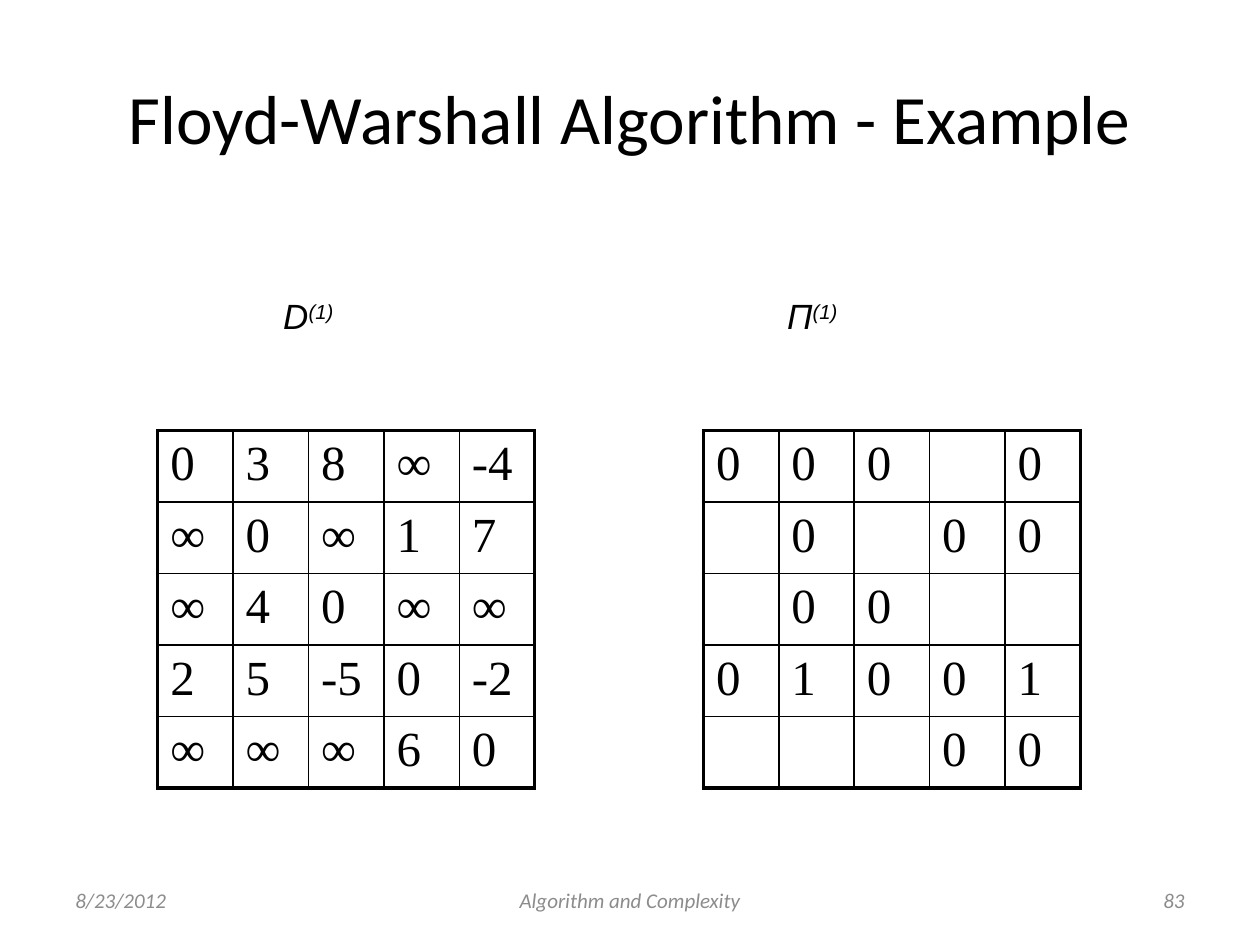
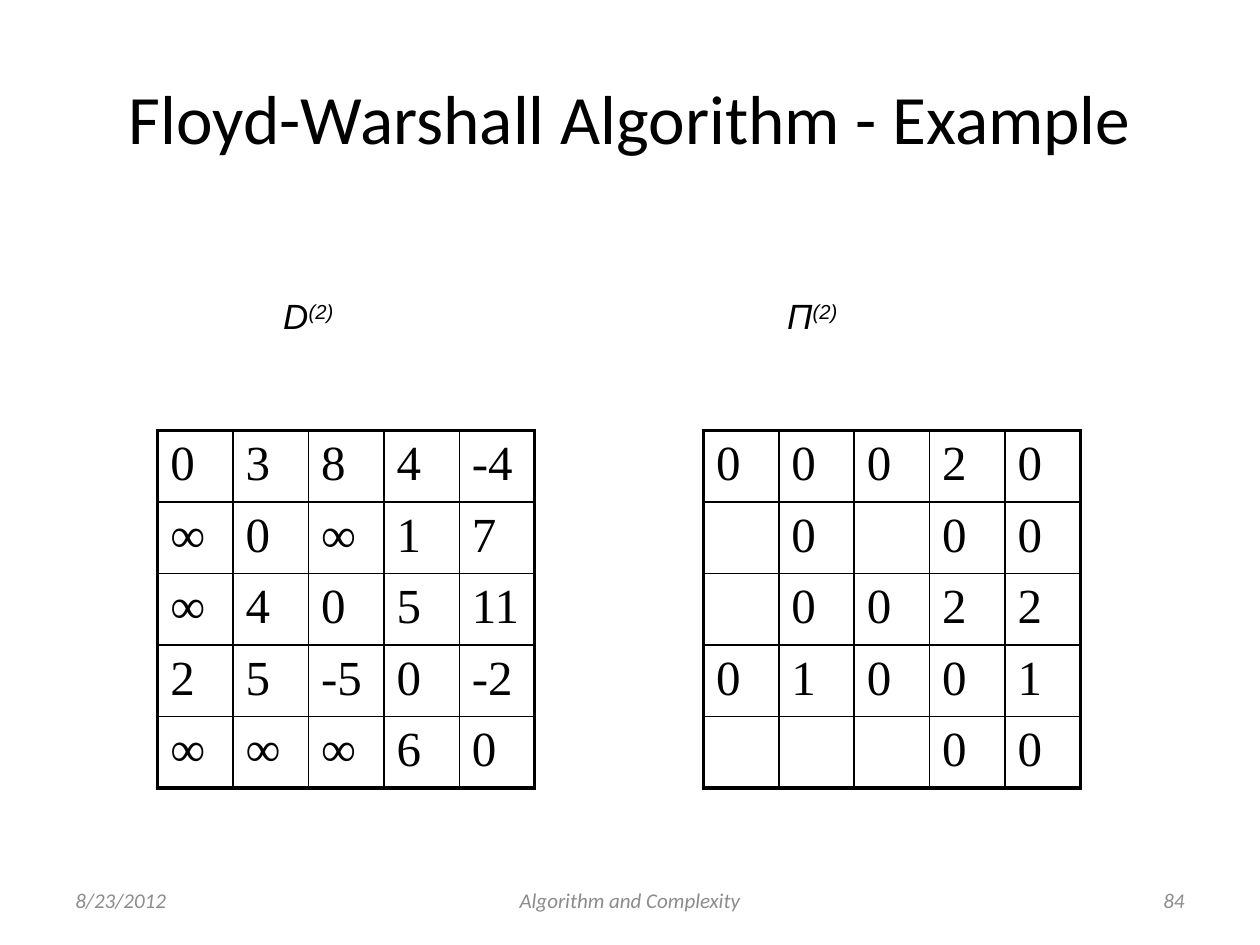
from lxml import etree
from pptx import Presentation
from pptx.dml.color import RGBColor as Rgb
from pptx.enum.text import MSO_ANCHOR as Anchor, PP_ALIGN as Align
from pptx.oxml.ns import qn
from pptx.util import Cm, Pt

INK = {"text": "000000", "rule": "000000", "foot": "8C8C8C"}
COL, ROW = 1.52, 1.35
THIN, THICK = 1, 2.25

# Each step: number, page, D rows, Π rows ("." leaves a cell empty)
STEPS = [
    (1, 83,
     ["0 3 8 ∞ -4", "∞ 0 ∞ 1 7", "∞ 4 0 ∞ ∞", "2 5 -5 0 -2", "∞ ∞ ∞ 6 0"],
     ["0 0 0 . 0", ". 0 . 0 0", ". 0 0 . .", "0 1 0 0 1", ". . . 0 0"]),
    (2, 84,
     ["0 3 8 4 -4", "∞ 0 ∞ 1 7", "∞ 4 0 5 11", "2 5 -5 0 -2", "∞ ∞ ∞ 6 0"],
     ["0 0 0 2 0", ". 0 . 0 0", ". 0 0 2 2", "0 1 0 0 1", ". . . 0 0"]),
]


def add_run(para, text, font, size, ink="text", slant=False, lift=0):
    run = para.add_run()
    run.text = text
    run.font.name = font
    run.font.size = Pt(size)
    run.font.italic = slant
    run.font.color.rgb = Rgb.from_string(INK[ink])
    if lift:
        run.font._element.set("baseline", str(lift * 1000))


def add_box(slide, box, align=Align.LEFT, anchor=Anchor.MIDDLE, wrap=True):
    frame = slide.shapes.add_textbox(*map(Cm, box)).text_frame
    frame.word_wrap = wrap
    frame.vertical_anchor = anchor
    para = frame.paragraphs[0]
    para.alignment = align
    return para


def add_title(slide, box):
    para = add_box(slide, box, Align.CENTER)
    add_run(para, "Floyd-Warshall Algorithm - Example", "Calibri", 39.6)


def add_labels(slide, box, step):
    para = add_box(slide, box, anchor=Anchor.TOP, wrap=False)
    # One tab stop for each matrix name
    stops = etree.SubElement(para._p.get_or_add_pPr(), qn("a:tabLst"))
    for pos in (2.54, 12.7):
        etree.SubElement(stops, qn("a:tab"), pos=str(Cm(pos)), algn="l")
    for name in ("D", "Π"):
        add_run(para, "\t" + name, "Arial", 20, slant=True)
        add_run(para, f"({step})", "Arial", 20, slant=True, lift=30)


def set_edge(cell, side, width):
    line = etree.SubElement(cell._tc.get_or_add_tcPr(), qn("a:ln" + side),
                            w=str(Pt(width)))
    fill = etree.SubElement(line, qn("a:solidFill"))
    etree.SubElement(fill, qn("a:srgbClr"), val=INK["rule"])


def add_matrix(slide, left, top, lines):
    data = [line.split() for line in lines]
    size = len(data)
    table = slide.shapes.add_table(size, size, Cm(left), Cm(top),
                                   Cm(COL * size), Cm(ROW * size)).table
    table.first_row = table.horz_banding = False
    last = size - 1
    for r, row in enumerate(data):
        for c, value in enumerate(row):
            cell = table.cell(r, c)
            # Thick outer frame, thin inner grid
            outer = {"L": c == 0, "R": c == last, "T": r == 0, "B": r == last}
            for side, edge in outer.items():
                set_edge(cell, side, THICK if edge else THIN)
            cell.fill.background()
            if value != ".":
                add_run(cell.text_frame.paragraphs[0], value,
                        "Times New Roman", 28)


def add_footer(slide, top, page):
    parts = [
        (1.27, 5.93, Align.LEFT, "8/23/2012"),
        (8.68, 8.04, Align.CENTER, "Algorithm and Complexity"),
        (18.2, 5.93, Align.RIGHT, str(page)),
    ]
    for left, width, align, text in parts:
        para = add_box(slide, (left, top, width, 1.01), align)
        add_run(para, text, "Calibri", 12, "foot", slant=True)


def add_step(deck, step, page, dist, pred):
    slide = deck.slides.add_slide(deck.slide_layouts[6])
    add_title(slide, (1.27, 0.76, 22.86, 3.18))
    add_matrix(slide, 3.18, 8.68, dist)
    add_matrix(slide, 14.18, 8.68, pred)
    add_labels(slide, (2.92, 5.82, 14.55, 1.27), step)
    add_footer(slide, 17.65, page)


def main():
    deck = Presentation()
    deck.slide_width, deck.slide_height = Cm(25.4), Cm(19.05)
    for step in STEPS:
        add_step(deck, *step)
    deck.save("out.pptx")


if __name__ == "__main__":
    main()
